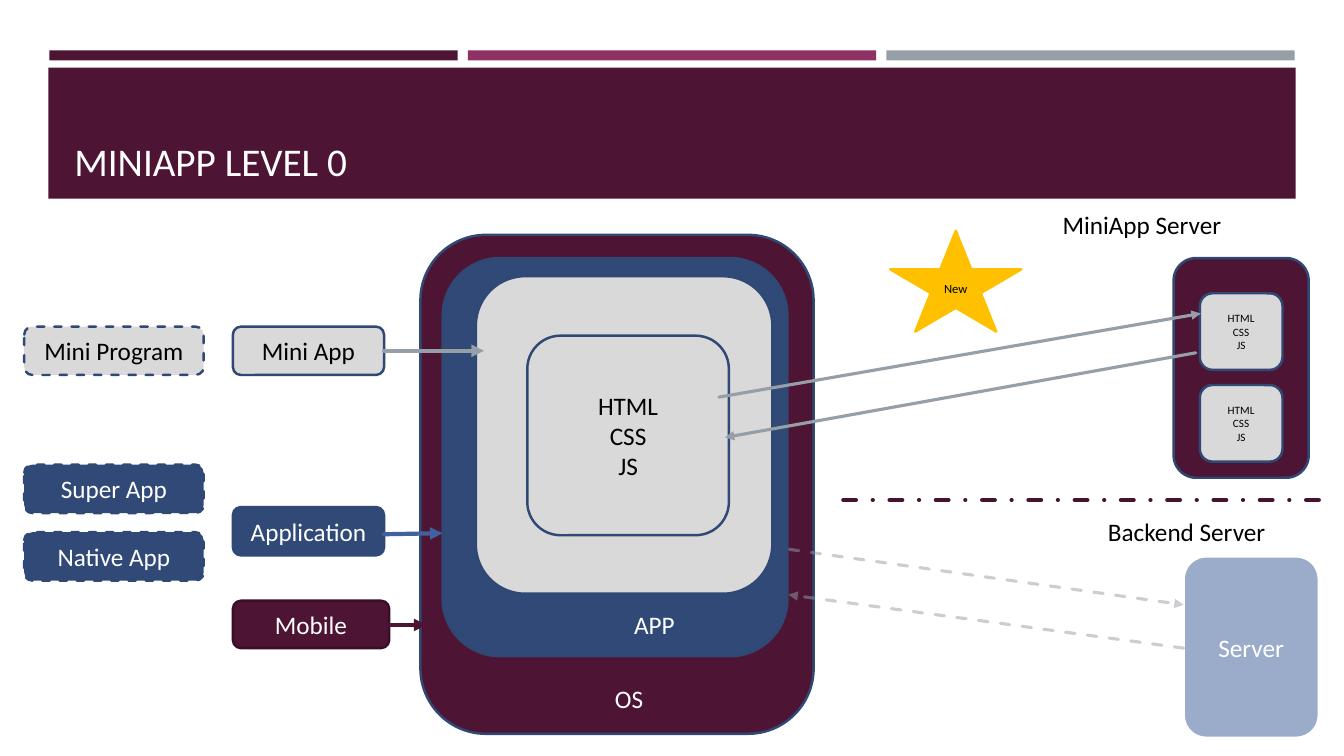
from lxml import etree
from pptx import Presentation
from pptx.dml.color import RGBColor
from pptx.enum.dml import MSO_LINE
from pptx.enum.shapes import MSO_CONNECTOR, MSO_SHAPE
from pptx.enum.text import MSO_ANCHOR, PP_ALIGN
from pptx.oxml.ns import qn
from pptx.util import Inches, Pt

RECT, ROUND, STAR = MSO_SHAPE.RECTANGLE, MSO_SHAPE.ROUNDED_RECTANGLE, MSO_SHAPE.STAR_5_POINT
DASH, DASH_DOT = MSO_LINE.DASH, MSO_LINE.DASH_DOT
STRAIGHT = MSO_CONNECTOR.STRAIGHT
TOP, MIDDLE, BOTTOM = MSO_ANCHOR.TOP, MSO_ANCHOR.MIDDLE, MSO_ANCHOR.BOTTOM
LEFT, CENTER = PP_ALIGN.LEFT, PP_ALIGN.CENTER

COLORS = {
    "plum": "4D1434", "plum edge": "390F26", "plum divider": "45122F",
    "magenta": "903163", "gray": "969FA7", "light": "D9D9D9",
    "navy": "304976", "navy edge": "2F4874", "blue": "40619D",
    "gold": "FFC000", "white": "FFFFFF", "black": "000000",
}


class SlideBuilder:
    """Draws styled diagram elements on one slide."""

    font_name = "Calibri"

    def __init__(self, slide):
        self.slide = slide

    def paint(self, fill, color):
        fill.solid()
        fill.fore_color.rgb = RGBColor.from_string(COLORS[color])

    def fade(self, parent, percent):
        color = parent.find(qn("a:solidFill"))[0]
        etree.SubElement(color, qn("a:alpha"), val=str(percent * 1000))

    def stroke(self, line, color, width, dash=None):
        self.paint(line.fill, color)
        line.width = Pt(width)
        if dash is not None:
            line.dash_style = dash

    def set_text(self, frame, text, size, color, align, anchor):
        frame.vertical_anchor = anchor
        frame.text = text
        for paragraph in frame.paragraphs:
            paragraph.alignment = align
            paragraph.font.name = self.font_name
            paragraph.font.size = Pt(size)
            paragraph.font.color.rgb = RGBColor.from_string(COLORS[color])

    def box(self, place, fill, text="", kind=ROUND, edge="navy edge", dash=None,
            alpha=None, size=18, ink="white"):
        shape = self.slide.shapes.add_shape(kind, *map(Inches, place))
        shape.shadow.inherit = False
        self.paint(shape.fill, fill)
        if alpha is not None:
            self.fade(shape._element.spPr, alpha)
        if edge:
            self.stroke(shape.line, edge, 1.75, dash)
            shape._element.spPr.find(qn("a:ln")).set("cap", "rnd")
        else:
            shape.line.fill.background()
        if text:
            self.set_text(shape.text_frame, text, size, ink, CENTER, MIDDLE)

    def label(self, place, text, color="black", size=18, anchor=TOP, wrap=False):
        frame = self.slide.shapes.add_textbox(*map(Inches, place)).text_frame
        frame.word_wrap = wrap
        self.set_text(frame, text, size, color, LEFT, anchor)

    def line(self, start, end, color, width, dash=None, alpha=None, arrow=True):
        connector = self.slide.shapes.add_connector(
            STRAIGHT, *map(Inches, (*start, *end)))
        self.stroke(connector.line, color, width, dash)
        properties = connector._element.spPr
        outline = properties.find(qn("a:ln"))
        outline.set("cap", "rnd")
        if alpha is not None:
            self.fade(outline, alpha)
        if arrow:
            etree.SubElement(outline, qn("a:tailEnd"), type="triangle")
        etree.SubElement(properties, qn("a:effectLst"))


def draw_header(builder):
    for column, color in enumerate(("plum", "magenta", "gray")):
        builder.box((0.49 + column * 4.15, 0.5, 4.05, 0.1), color, kind=RECT, edge=None)
    builder.box((0.48, 0.67, 12.37, 1.3), "plum", kind=RECT, edge=None)
    builder.label((0.64, 0.77, 12.06, 1.11), "MINIAPP LEVEL 0", "white", 28, BOTTOM, True)


def draw_device(builder):
    for place, fill in (
        ((4.17, 2.33, 3.9, 4.95), "plum"),
        ((4.39, 2.56, 3.42, 3.95), "navy"),
        ((4.72, 2.74, 2.94, 3.15), "light"),
    ):
        builder.box(place, fill)
    builder.label((6, 6.73, 0.53, 0.4), "OS", "white")
    builder.label((6.19, 6, 0.64, 0.4), "APP", "white")


def draw_legend(builder):
    builder.box((2.31, 5.96, 1.55, 0.47), "plum", "Mobile", edge="plum edge")
    builder.box((2.31, 5.03, 1.5, 0.48), "navy", "Application")
    builder.box((2.31, 3.24, 1.5, 0.48), "light", "Mini App", ink="black")
    for top, fill, name, ink in (
        (3.24, "light", "Mini Program", "black"),
        (4.61, "navy", "Super App", "white"),
        (5.28, "navy", "Native App", "white"),
    ):
        builder.box((0.24, top, 1.78, 0.48), fill, name, dash=DASH, ink=ink)
    builder.line((3.86, 6.2), (4.23, 6.2), "plum", 3)
    builder.line((3.81, 5.3), (4.39, 5.29), "blue", 3)
    builder.line((3.81, 3.48), (4.8, 3.48), "gray", 3)


def draw_servers(builder):
    web_files = "HTML\nCSS\nJS"
    builder.box((11.64, 2.56, 1.34, 2.18), "plum")
    builder.box((11.74, 5.52, 1.34, 1.8), "blue", "Server", edge="white", alpha=52)
    builder.box((5.23, 3.33, 2, 1.98), "light", web_files, ink="black")
    for top in (2.91, 3.82):
        builder.box((11.9, top, 0.82, 0.76), "light", web_files, size=8, ink="black")
    builder.label((10.44, 2.03, 1.78, 0.4), "MiniApp Server")
    builder.label((10.89, 5.07, 1.78, 0.4), "Backend Server")
    builder.line((13.08, 4.96), (8.25, 4.96), "plum divider", 3, DASH_DOT, arrow=False)
    for start, end in (((11.86, 3.5), (7.19, 4.34)), ((7.13, 3.94), (11.91, 3.11))):
        builder.line(start, end, "gray", 2.25)
    for start, end in (((7.83, 5.45), (11.74, 6)), ((11.74, 6.43), (7.82, 5.9))):
        builder.line(start, end, "gray", 2.25, DASH, alpha=50)
    builder.box((8.83, 2.29, 1.3, 1), "gold", "New", STAR, "gold", size=9, ink="black")


def main():
    deck = Presentation()
    deck.slide_width, deck.slide_height = Inches(13.33), Inches(7.5)
    builder = SlideBuilder(deck.slides.add_slide(deck.slide_layouts[6]))
    draw_header(builder)
    draw_device(builder)
    draw_legend(builder)
    draw_servers(builder)
    deck.save("out.pptx")


if __name__ == "__main__":
    main()
